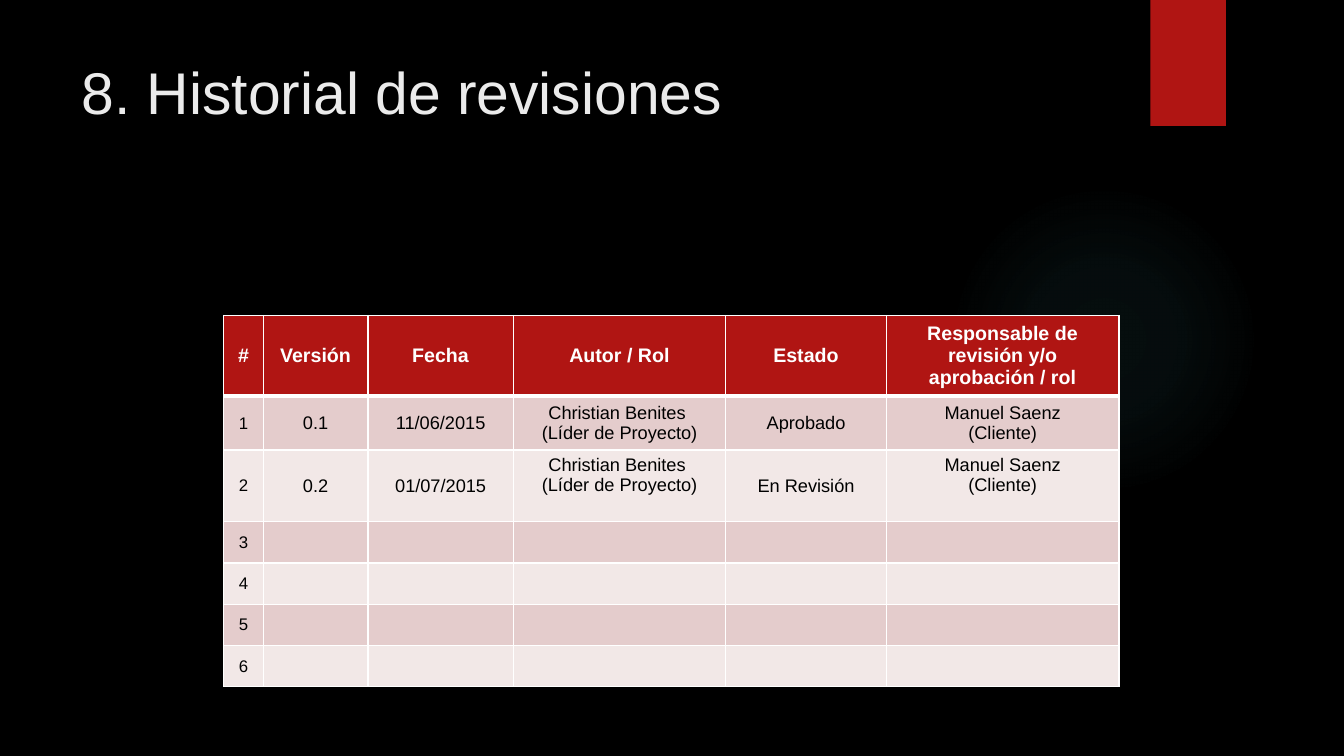
from lxml import etree
from pptx import Presentation
from pptx.dml.color import RGBColor
from pptx.enum.shapes import MSO_SHAPE
from pptx.enum.text import MSO_ANCHOR, PP_ALIGN
from pptx.oxml import parse_xml
from pptx.oxml.ns import nsdecls, qn
from pptx.util import Inches, Pt

OVAL, RECTANGLE = MSO_SHAPE.OVAL, MSO_SHAPE.RECTANGLE
TOP, MIDDLE = MSO_ANCHOR.TOP, MSO_ANCHOR.MIDDLE
CENTER = PP_ALIGN.CENTER

FONT = "Arial"
BLACK, WHITE, RED = "000000", "FFFFFF", "B01513"
TITLE_COLOR, GLOW_COLOR = "EBEBEB", "50B9C1"
BANDS = ["E4CCCC", "F2E8E7"]
GLOW_STOPS = [(0, 7), (36, 6), (69, 0)]

TITLE = "8. Historial de revisiones"
AUTHOR = ["Christian Benites ", "(Líder de Proyecto)"]
REVIEWER = ["Manuel Saenz", "(Cliente)"]
HEADINGS = ["#", "Versión", "Fecha", "Autor / Rol", "Estado",
            "Responsable de revisión y/o aprobación / rol"]
REVISIONS = [
    ["0.1", "11/06/2015", AUTHOR, "Aprobado", REVIEWER],
    ["0.2", "01/07/2015", AUTHOR, "En Revisión", REVIEWER],
]
REVISION_SLOTS = 6
COLUMN_WIDTHS = [0.39, 1.04, 1.44, 2.11, 1.59, 2.31]
ROW_HEIGHTS = [0.75, 0.5, 0.71] + [0.41] * 4


def rgb(color):
    return RGBColor.from_string(color)


def paint(fill, color):
    fill.solid()
    fill.fore_color.rgb = rgb(color)


def add_run(paragraph, text, size, color, bold=False):
    run = paragraph.add_run()
    run.text = text
    run.font.name = FONT
    run.font.size = Pt(size)
    run.font.bold = bold
    run.font.color.rgb = rgb(color)


def add_decoration(slide, preset, left, top, width, height):
    decoration = slide.shapes.add_shape(
        preset, Inches(left), Inches(top), Inches(width), Inches(height))
    decoration.shadow.inherit = False
    decoration.line.fill.background()
    return decoration


def add_glow(slide):
    glow = add_decoration(slide, OVAL, 9.41, 1.83, 3.08, 3.08)
    stops = "".join(
        f'<a:gs pos="{position * 1000}"><a:srgbClr val="{GLOW_COLOR}">'
        f'<a:alpha val="{opacity * 1000}"/></a:srgbClr></a:gs>'
        for position, opacity in GLOW_STOPS)
    gradient = parse_xml(
        f'<a:gradFill {nsdecls("a")}><a:gsLst>{stops}</a:gsLst>'
        '<a:path path="circle"><a:fillToRect l="50000" t="50000" r="50000" b="50000"/>'
        '</a:path></a:gradFill>')
    glow._element.spPr.find(qn("a:prstGeom")).addnext(gradient)


def set_borders(cell, top, bottom):
    properties = cell._tc.get_or_add_tcPr()
    sides = [("lnL", 1), ("lnR", 1), ("lnT", top), ("lnB", bottom)]
    for index, (side, points) in enumerate(sides):
        border = etree.Element(qn(f"a:{side}"), w=str(Pt(points)))
        fill = etree.SubElement(border, qn("a:solidFill"))
        etree.SubElement(fill, qn("a:srgbClr"), val=WHITE)
        properties.insert(index, border)


def add_history(slide):
    blank = [""] * (len(HEADINGS) - 1)
    entries = REVISIONS + [blank] * (REVISION_SLOTS - len(REVISIONS))
    rows = [HEADINGS] + [[str(n), *entry] for n, entry in enumerate(entries, 1)]
    history = slide.shapes.add_table(
        len(rows), len(HEADINGS), Inches(2.22), Inches(3.13),
        Inches(sum(COLUMN_WIDTHS)), Inches(sum(ROW_HEIGHTS))).table
    for column, width in zip(history.columns, COLUMN_WIDTHS):
        column.width = Inches(width)
    for row, height in zip(history.rows, ROW_HEIGHTS):
        row.height = Inches(height)

    for r, row in enumerate(rows):
        header = r == 0
        for c, content in enumerate(row):
            cell = history.cell(r, c)
            paint(cell.fill, RED if header else BANDS[(r - 1) % 2])
            set_borders(cell, 3 if r == 1 else 1, 3 if header else 1)
            lines = content if isinstance(content, list) else [content]
            cell.vertical_anchor = TOP if r == 2 and len(lines) > 1 else MIDDLE
            size = 14 if header else 12 if c == 0 else 13
            for i, line in enumerate(lines):
                frame = cell.text_frame
                paragraph = frame.add_paragraph() if i else frame.paragraphs[0]
                paragraph.alignment = CENTER
                if line:
                    add_run(paragraph, line, size, WHITE if header else BLACK, header)


def main():
    deck = Presentation()
    deck.slide_width, deck.slide_height = Inches(13.33), Inches(7.5)
    slide = deck.slides.add_slide(deck.slide_layouts[6])
    paint(slide.background.fill, BLACK)

    add_glow(slide)
    ribbon = add_decoration(slide, RECTANGLE, 11.41, 0, 0.75, 1.25)
    paint(ribbon.fill, RED)

    title = slide.shapes.add_textbox(
        Inches(0.71), Inches(0.5), Inches(10.29), Inches(1.53)).text_frame
    title.word_wrap = True
    title.vertical_anchor = TOP
    add_run(title.paragraphs[0], TITLE, 42, TITLE_COLOR)

    add_history(slide)
    deck.save("out.pptx")


if __name__ == "__main__":
    main()
